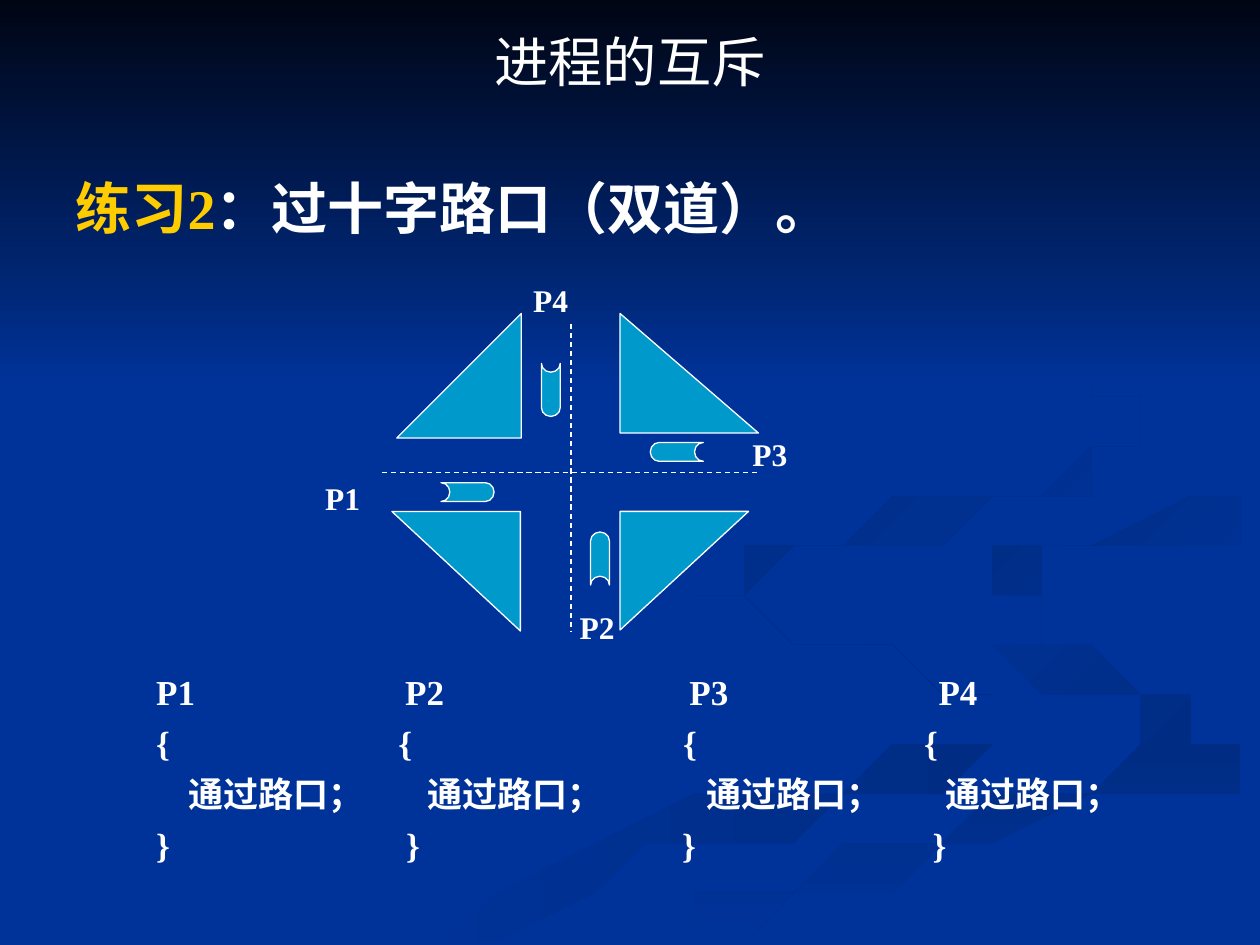
"""Builds the slide on mutual exclusion at a two-lane crossroads."""
from pptx import Presentation
from pptx.dml.color import RGBColor
from pptx.enum import dml, shapes, text
from pptx.oxml import ns
from pptx.util import Cm, Pt
from lxml import etree

COLORS = {"blue": "003399", "night": "000514", "yellow": "FFCC00", "white": "FFFFFF",
          "cyan": "0099CC", "wave": "002C84"}
RGB = {name: RGBColor.from_string(value) for name, value in COLORS.items()}
SERIF, SANS = "Times New Roman", "Noto Sans CJK SC"


def write(holder, lines, size, font=SERIF, bold=True, align=text.PP_ALIGN.LEFT,
          anchor=text.MSO_ANCHOR.TOP, wrap=True, before=0, spacing=None, tabs=None):
    """Fill holder with lines, each a list of (words, colour) runs."""
    frame = holder.text_frame
    frame.word_wrap, frame.vertical_anchor = wrap, anchor
    for index, line in enumerate(lines):
        paragraph = frame.add_paragraph() if index else frame.paragraphs[0]
        if tabs:
            stops = etree.SubElement(paragraph._p.get_or_add_pPr(), ns.qn("a:tabLst"))
            for stop in tabs[index]:
                etree.SubElement(stops, ns.qn("a:tab"), pos=str(Cm(stop)), algn="l")
        paragraph.alignment = align
        if spacing:
            paragraph.line_spacing = spacing
        if index:
            paragraph.space_before = Pt(before)
        for words, color in line:
            run = paragraph.add_run()
            run.text = words
            run.font.size, run.font.bold, run.font.name = Pt(size), bold, font
            run.font.color.rgb = RGB[color]
            etree.SubElement(run._r.get_or_add_rPr(), ns.qn("a:ea"), typeface=SANS)


def paint(shape, start, end=None, angle=0):
    """Give shape a plain fill, or a gradient when end is named."""
    shape.shadow.inherit = False
    shape.line.fill.background()
    if end is None:
        shape.fill.solid()
        shape.fill.fore_color.rgb = RGB[start]
        return
    shape.fill.gradient()
    shape.fill.gradient_angle = -angle % 360
    for stop, color in zip(shape.fill.gradient_stops, (start, end)):
        stop.color.rgb = RGB[color]


deck = Presentation()
deck.slide_width, deck.slide_height = Cm(25.4), Cm(19.05)
slide = deck.slides.add_slide(deck.slide_layouts[6])
slide.background.fill.solid()
slide.background.fill.fore_color.rgb = RGB["blue"]

waves = [
    (("blue", "wave", 0), [
        (19.8, 14), (16.3, 12.9), (14.6, 11.7), (14.6, 12.2), (17.2, 13.2), (19.7, 14.1),
        (19.3, 15), (13.7, 16.5), (7.6, 19), (9.2, 19), (14.3, 16.9), (19.2, 15.6), (20.3, 14.8)]),
    (("blue", "wave", 45), [
        (23.9, 14.4), (23, 13.7), (19.3, 12.6), (18.4, 11.8), (19, 12.7), (22, 13.8),
        (23.3, 14.7), (22.7, 15.4), (23.7, 15)]),
    (("wave", "blue", 90), [
        (12.8, 19), (14.5, 19), (17.7, 17.6), (22.9, 16), (25.4, 15.5), (25.4, 14.8),
        (22, 15.7), (17.7, 17), (14.5, 18.3)]),
    (("wave", "blue", 45), [
        (19.8, 11.7), (20.1, 12.1), (21, 12.6), (20.5, 12), (21.8, 11.3), (25.4, 10.7),
        (25.4, 10.2), (21.6, 10.8)]),
    (("wave", "blue", 45), [
        (17.3, 10.9), (21, 10.2), (22.6, 9.2), (22.6, 8.2), (21.4, 7), (19.4, 5.9),
        (21.5, 7.1), (22.6, 8.5), (21.9, 9.4), (19.4, 10.1), (15.9, 10.8), (14.7, 11.7),
        (15.8, 12.7), (15.1, 11.9), (15.8, 11.3)]),
]
for colors, knots in waves:
    curve = []
    for index, knot in enumerate(knots):
        following, beyond = (knots[(index + step) % len(knots)] for step in (1, 2))
        for part in (0, 0.25, 0.5, 0.75):
            curve.append([b + part * ((c - a) + part * ((2 * a - 5 * b + 4 * c - d)
                          + part * (3 * (b - c) + d - a))) / 2
                          for a, b, c, d in zip(knots[index - 1], knot, following, beyond)])
    curve = [(min(x, 25.4), min(y, 19.05)) for x, y in curve]
    outline = slide.shapes.build_freeform(*curve[0], scale=Cm(1))
    outline.add_line_segments(curve[1:], close=True)
    paint(outline.convert_to_shape(), *colors)

sky = slide.shapes.add_shape(shapes.MSO_SHAPE.RECTANGLE, 0, 0, deck.slide_width, Cm(7.82))
paint(sky, "night", "blue", 90)

exercise = slide.shapes.add_textbox(Cm(1.27), Cm(3.38), Cm(22.86), Cm(5))
write(exercise, [[("练习2", "yellow"), ("：过十字路口（双道）。", "white")]], 32)

heading = slide.shapes.add_textbox(Cm(1.9), Cm(0.53), Cm(21.6), Cm(1.63))
write(heading, [[("进程的互斥", "white")]], 31, font=SANS, bold=False, spacing=0.8,
      align=text.PP_ALIGN.CENTER, anchor=text.MSO_ANCHOR.MIDDLE)

processes = slide.shapes.add_textbox(Cm(2.9), Cm(13.4), Cm(21.41), Cm(5))
rows = ["P1\tP2\tP3\tP4", "\t".join("{" * 4), "\t" + "\t".join(["通过路口；"] * 4),
        "\t".join("}" * 4)]
row_tabs = [(5.02, 10.75, 15.77), (4.88, 10.62, 15.48), (0.65, 5.46, 11.09, 15.91),
            (5.04, 10.6, 15.65)]
write(processes, [[(row, "white")] for row in rows], 20, before=5, spacing=Pt(24),
      tabs=row_tabs)

block, car = shapes.MSO_SHAPE.RIGHT_TRIANGLE, shapes.MSO_SHAPE.FLOWCHART_STORED_DATA
crossroads = [
    (block, 12.5, 6.32, 2.79, 2.41), (block, 12.6, 10.21, 2.39, 2.59),
    (block, 7.9, 10.31, 2.59, 2.41), (block, 8, 6.32, 2.51, 2.51),
    (car, 13.11, 8.92, 1.07, 0.38), (car, 11.56, 11.07, 1.07, 0.38),
    (car, 8.89, 9.73, 1.07, 0.38), (car, 10.57, 7.67, 1.07, 0.38),
]
for index, (preset, *bounds) in enumerate(crossroads):
    piece = slide.shapes.add_shape(preset, *map(Cm, bounds))
    paint(piece, "cyan")
    piece.rotation = index % 4 * 90
    piece.line.color.rgb = RGB["white"]
    piece.line.width = Pt(0.75)

for ends in [(7.7, 9.52, 15.29, 9.52), (11.51, 6.53, 11.51, 12.73)]:
    lane = slide.shapes.add_connector(shapes.MSO_CONNECTOR.STRAIGHT, *map(Cm, ends))
    lane.line.color.rgb = RGB["white"]
    lane.line.width = Pt(0.75)
    lane.line.dash_style = dml.MSO_LINE.DASH
    etree.SubElement(lane._element.spPr, ns.qn("a:effectLst"))

for process, left, top in [("P1", 6.3, 9.52), ("P2", 11.43, 12.12),
                           ("P3", 14.91, 8.64), ("P4", 10.49, 5.54)]:
    label = slide.shapes.add_shape(shapes.MSO_SHAPE.OVAL, Cm(left), Cm(top), Cm(1.22), Cm(1.02))
    label.shadow.inherit = False
    label.fill.background()
    label.line.fill.background()
    write(label, [[(process, "white")]], 18, wrap=False, align=text.PP_ALIGN.CENTER,
          anchor=text.MSO_ANCHOR.MIDDLE)

deck.save("out.pptx")
